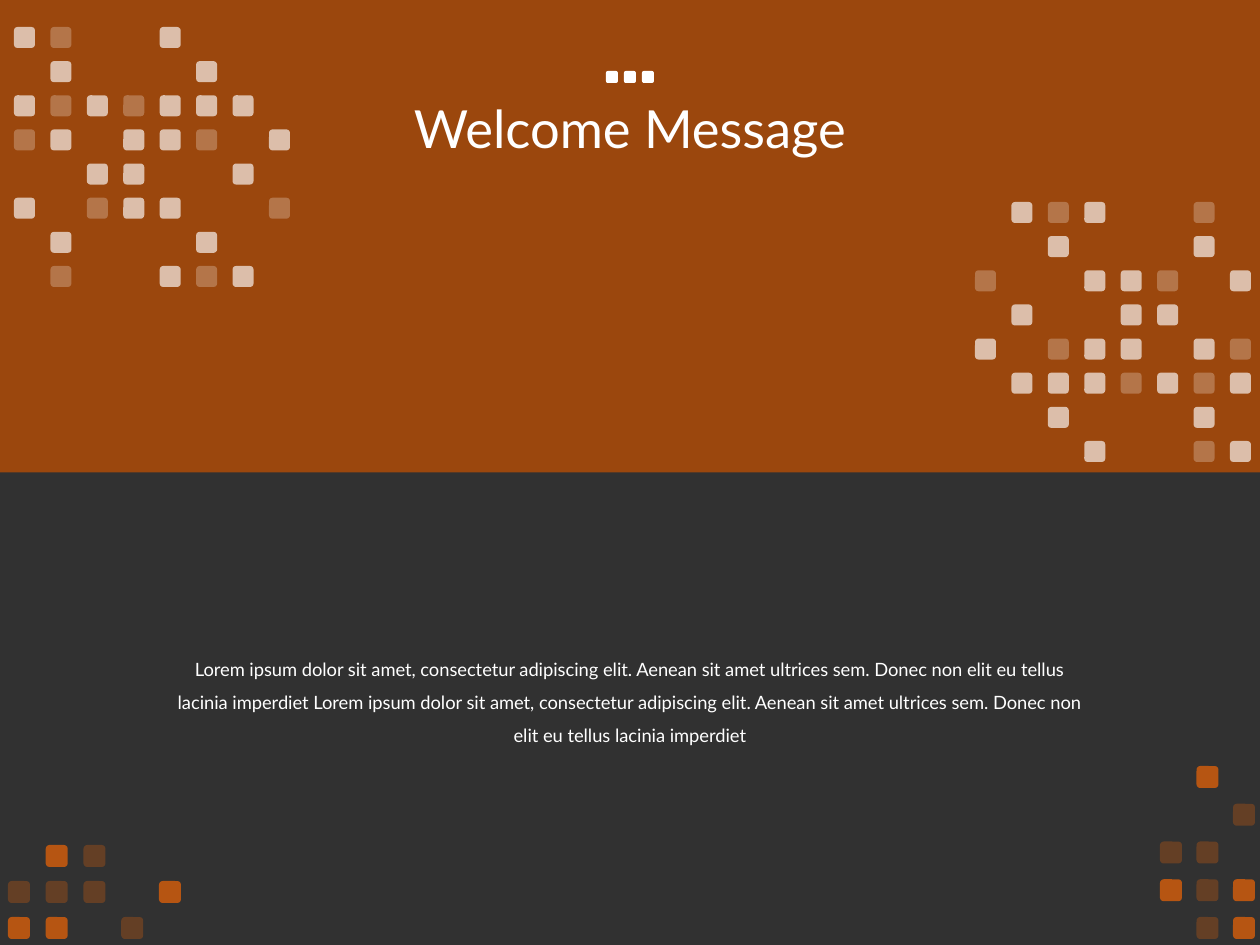
import pptx
import pptx.dml.color
import pptx.enum.shapes
import pptx.enum.text
import pptx.oxml.ns
import pptx.util
from lxml import etree

RGBColor = pptx.dml.color.RGBColor
WHITE = RGBColor(0xFF, 0xFF, 0xFF)
CHARCOAL = RGBColor(0x31, 0x31, 0x31)
RUST = RGBColor(0xBF, 0x4F, 0x01)
ORANGE = RGBColor(0xFE, 0x69, 0x02)

FONT = "Lato"
PX_PER_INCH = 126
WIDTH, HEIGHT = 1260, 945

# In a mosaic, "#" is a strong tile, "+" a faint one and "." a gap.
TILE_OPACITY = {"#": 65, "+": 25}
TOP_LEFT_MOSAIC = ["#+..#...", ".#...#..", "#+#+###.", "+#.##+.#",
                   "..##..#.", "#.+##..+", ".#...#..", ".+..#+#."]
TOP_RIGHT_MOSAIC = [".#+#..+.", "..#...#.", "+..##+.#", ".#..##..",
                    "#.+##.#+", ".###+#+#", "..#...#.", "...#..+#"]
BOTTOM_LEFT_MOSAIC = [".#+..", "+++.#", "##.+."]
BOTTOM_RIGHT_MOSAIC = [".#.", "..+", "++.", "#+#", ".+#"]

MESSAGE = (
    "Lorem ipsum dolor sit amet, consectetur adipiscing elit. Aenean sit amet "
    "ultrices sem. Donec non elit eu tellus lacinia imperdiet Lorem ipsum dolor "
    "sit amet, consectetur adipiscing elit. Aenean sit amet ultrices sem. Donec "
    "non elit eu tellus lacinia imperdiet"
)


def px(length):
    return pptx.util.Emu(round(length * 914400 / PX_PER_INCH))


def add_filled_shape(shapes, kind, box, color, opacity=100):
    shape = shapes.add_shape(kind, *map(px, box))
    shape.shadow.inherit = False
    shape.line.fill.background()
    shape.fill.solid()
    shape.fill.fore_color.rgb = color
    if opacity < 100:
        color_element = shape.fill._xPr.find(".//" + pptx.oxml.ns.qn("a:srgbClr"))
        alpha = etree.SubElement(color_element, pptx.oxml.ns.qn("a:alpha"))
        alpha.set("val", str(opacity * 1000))
    return shape


def add_tile(shapes, box, color, opacity=100):
    shape_type = pptx.enum.shapes.MSO_SHAPE.ROUNDED_RECTANGLE
    return add_filled_shape(shapes, shape_type, box, color, opacity)


def add_mosaic(slide, box, pattern, tile, color):
    """Spread the pattern's tiles evenly so the outer ones touch the box edges."""
    left, top, width, height = box
    column_step = (width - tile) / (len(pattern[0]) - 1)
    row_step = (height - tile) / (len(pattern) - 1)
    group = slide.shapes.add_group_shape()
    for row, marks in enumerate(pattern):
        for column, mark in enumerate(marks):
            if mark in TILE_OPACITY:
                tile_box = (left + column * column_step,
                            top + row * row_step, tile, tile)
                add_tile(group.shapes, tile_box, color, TILE_OPACITY[mark])


def add_dots(slide, box, count=3):
    left, top, width, size = box
    step = (width - size) / (count - 1)
    group = slide.shapes.add_group_shape()
    for index in range(count):
        add_tile(group.shapes, (left + index * step, top, size, size), WHITE)


def place_text(shape, text, size, line_spacing, anchor):
    frame = shape.text_frame
    frame.text = text
    frame.word_wrap = True
    frame.auto_size = pptx.enum.text.MSO_AUTO_SIZE.NONE
    frame.vertical_anchor = anchor
    paragraph = frame.paragraphs[0]
    paragraph.alignment = pptx.enum.text.PP_ALIGN.CENTER
    paragraph.line_spacing = line_spacing
    paragraph.font.name = FONT
    paragraph.font.size = pptx.util.Pt(size)
    paragraph.font.color.rgb = WHITE


def add_title(slide, box):
    title = slide.shapes.title
    title.left, title.top, title.width, title.height = map(px, box)
    place_text(title, "Welcome Message", 30, 0.9,
               pptx.enum.text.MSO_ANCHOR.MIDDLE)


def add_message(slide, box):
    text_box = slide.shapes.add_textbox(*map(px, box))
    place_text(text_box, MESSAGE, 10.5, 1.5, pptx.enum.text.MSO_ANCHOR.TOP)


def add_band(slide, box):
    """Lay the coloured band behind the title."""
    band = add_filled_shape(slide.shapes, pptx.enum.shapes.MSO_SHAPE.RECTANGLE,
                            box, RUST, 75)
    slide.shapes.title._element.addprevious(band._element)


def build_welcome_slide(presentation):
    slide = presentation.slides.add_slide(presentation.slide_layouts[5])
    slide.background.fill.solid()
    slide.background.fill.fore_color.rgb = CHARCOAL

    add_band(slide, (0, 0, WIDTH, HEIGHT / 2))
    add_title(slide, (87, 40, 1086, 183))
    add_message(slide, (164, 641, 932, 108))
    add_dots(slide, (606, 71, 48, 12))
    add_mosaic(slide, (14, 27, 276, 260), TOP_LEFT_MOSAIC, 21, WHITE)
    add_mosaic(slide, (975, 202, 276, 260), TOP_RIGHT_MOSAIC, 21, WHITE)
    add_mosaic(slide, (8, 845, 173, 94), BOTTOM_LEFT_MOSAIC, 22, ORANGE)
    add_mosaic(slide, (1160, 766, 95, 173), BOTTOM_RIGHT_MOSAIC, 22, ORANGE)


def main():
    presentation = pptx.Presentation()
    presentation.slide_width = px(WIDTH)
    presentation.slide_height = px(HEIGHT)
    build_welcome_slide(presentation)
    presentation.save("out.pptx")


if __name__ == "__main__":
    main()
